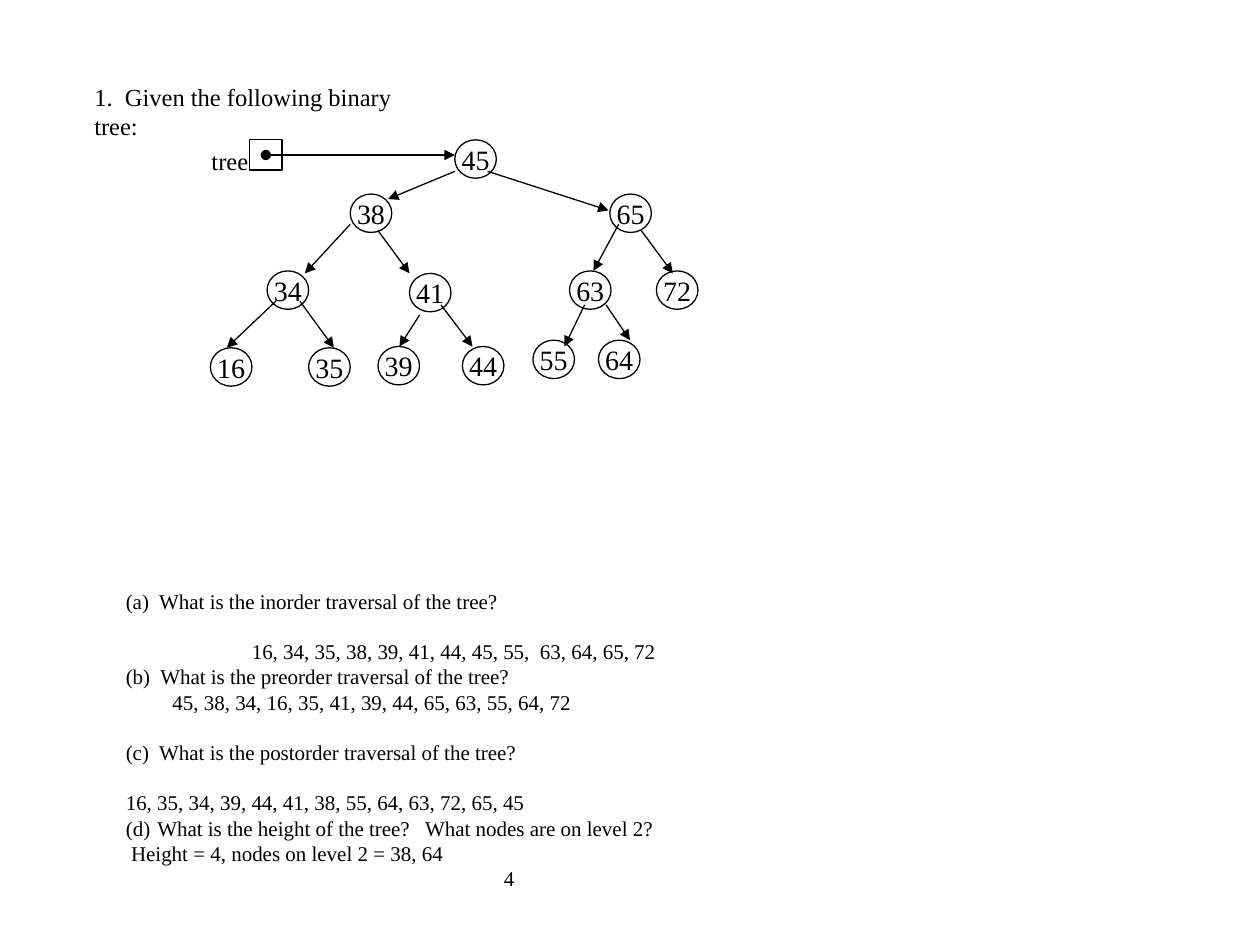
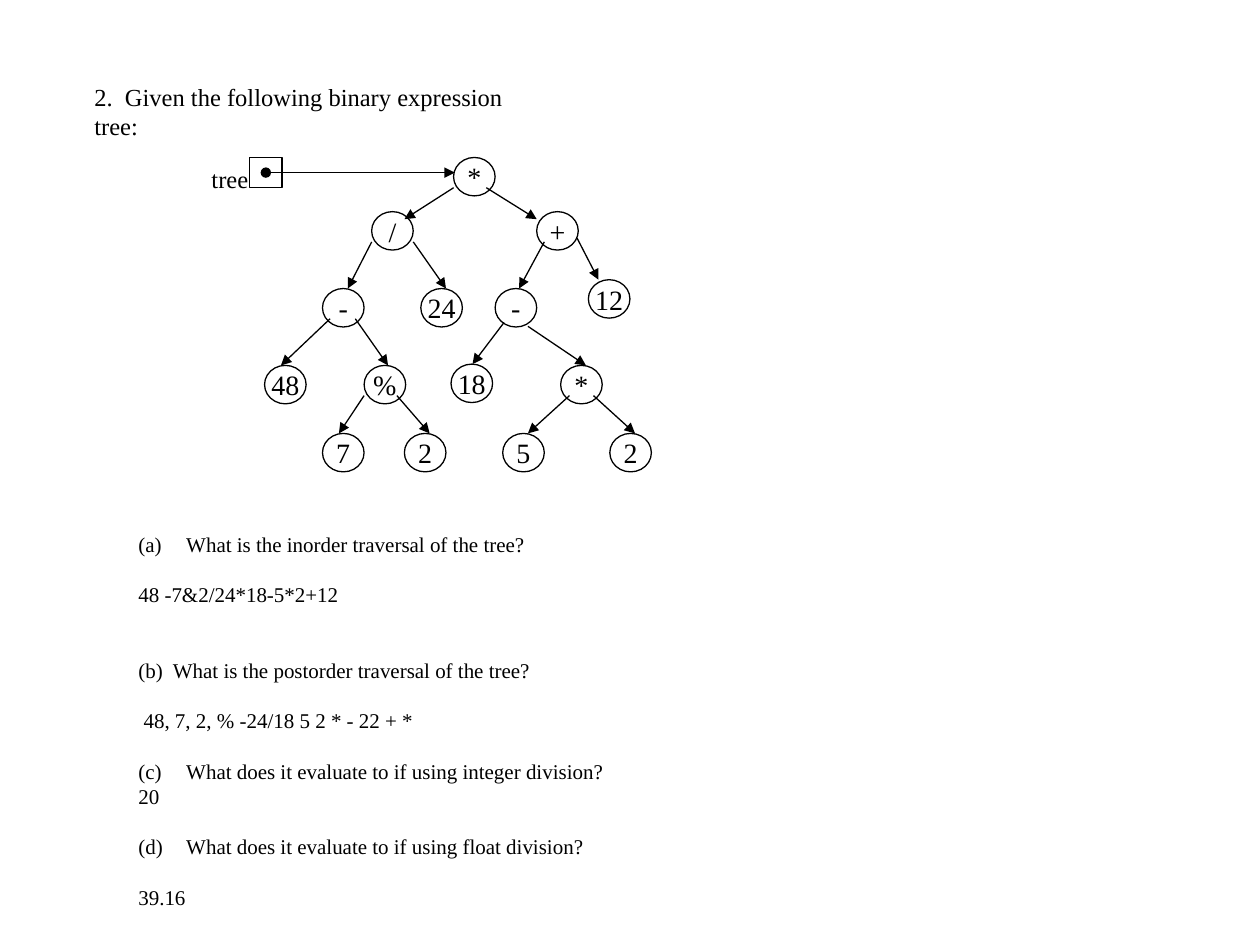
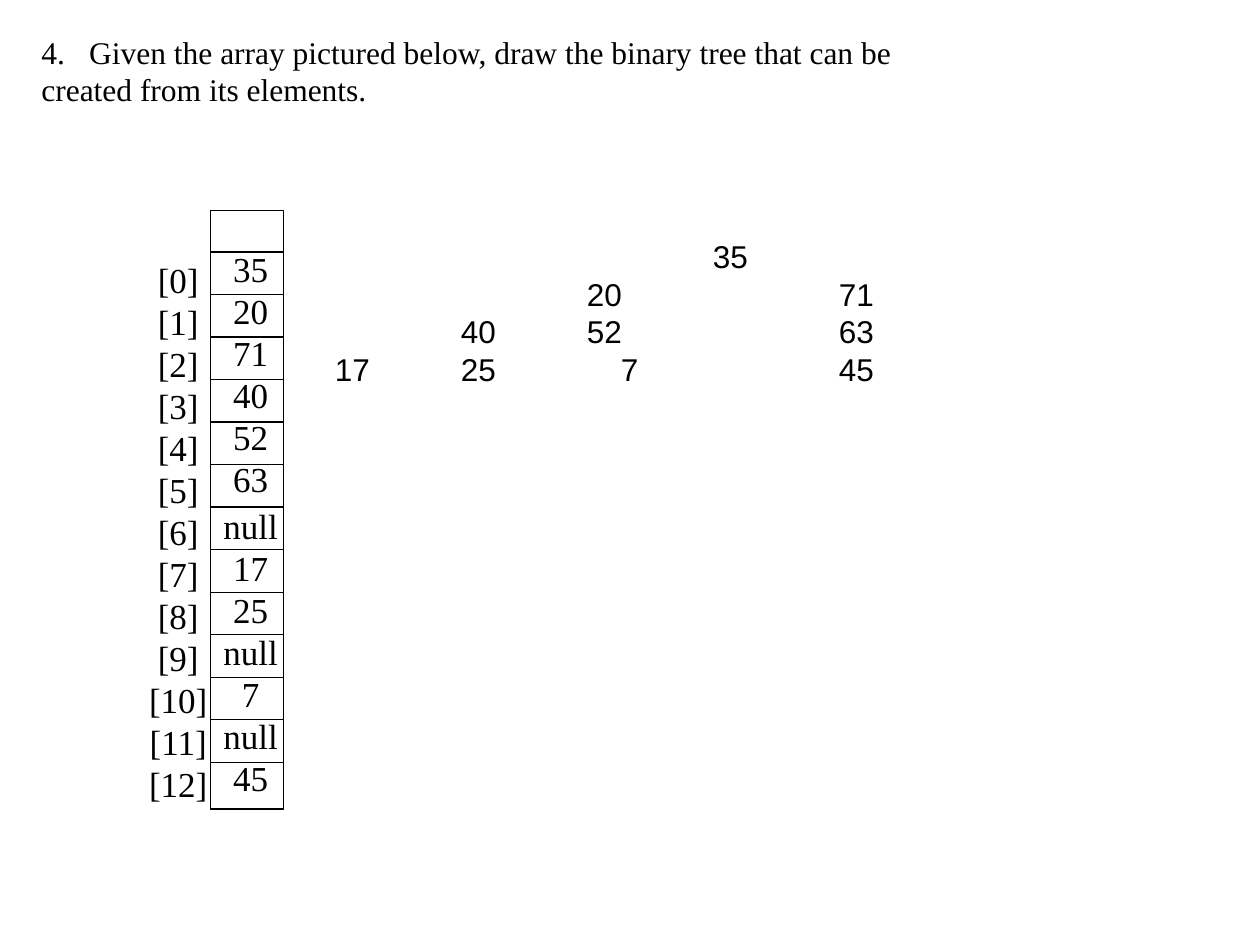
import dataclasses
import pptx
import pptx.util
import pptx.dml.color
import pptx.enum.shapes
import pptx.enum.text
import pptx.oxml.ns
import lxml.etree


@dataclasses.dataclass(frozen=True)
class Theme:
    """Colours, fonts, type sizes and the grid cell in inches."""
    ink: str = "000000"
    serif: str = "Times New Roman"
    sans: str = "Arial"
    body: int = 12
    lead: int = 14
    node: int = 16
    head: int = 18
    cell: int = 20
    rule: float = 0.75
    line: float = 1.2
    grid: float = 0.1


@dataclasses.dataclass(frozen=True)
class Para:
    """One paragraph: gap in lines, left indent, list number, tab stops."""
    text: str
    gap: float = 0
    left: float = 0
    num: int = 0
    kind: str = "alphaLcParenBoth"
    stops: tuple = ()


THEME = Theme()
ALIGN = pptx.enum.text.PP_ALIGN
SHAPE = pptx.enum.shapes.MSO_SHAPE


def span(*cells):
    """Turn grid cells into lengths."""
    return [pptx.util.Inches(c * THEME.grid) for c in cells]


def colour():
    """Give the ink colour."""
    return pptx.dml.color.RGBColor.from_string(THEME.ink)


def add(root, tag, **attrs):
    """Append a drawing element with attributes."""
    item = lxml.etree.SubElement(root, pptx.oxml.ns.qn(tag))
    for key, val in attrs.items():
        item.set(key, str(val))
    return item


def style(para, size, face):
    """Set the font of a paragraph."""
    para.font.size = pptx.util.Pt(size)
    para.font.name = face
    para.font.color.rgb = colour()


def write(slide, box, paras, size, face=THEME.serif, align=ALIGN.LEFT, wrap=True, inset=1):
    """Write paragraphs in a text box."""
    frame = slide.shapes.add_textbox(*span(*box)).text_frame
    frame.word_wrap = wrap
    frame.margin_left, frame.margin_right = span(inset, inset)
    for i, item in enumerate(paras):
        para = frame.add_paragraph() if i else frame.paragraphs[0]
        para.text = item.text
        para.alignment = align
        if item.gap:
            para.space_before = pptx.util.Pt(item.gap * size * THEME.line)
        props = para._p.get_or_add_pPr()
        if item.left:
            props.set("marL", str(pptx.util.Inches(item.left)))
        if item.num:
            props.set("indent", str(-pptx.util.Inches(item.left)))
            add(props, "a:buAutoNum", type=item.kind, startAt=item.num)
        if item.stops:
            tabs = add(props, "a:tabLst")
            for stop in item.stops:
                add(tabs, "a:tab", pos=pptx.util.Inches(stop), algn="l")
        style(para, size, face)


def draw(slide, kind, box, text=""):
    """Draw an outlined shape with centred text."""
    shape = slide.shapes.add_shape(kind, *span(*box))
    shape.shadow.inherit = False
    shape.fill.background()
    shape.line.color.rgb = colour()
    shape.line.width = pptx.util.Pt(THEME.rule)
    if text:
        frame = shape.text_frame
        frame.word_wrap = False
        frame.vertical_anchor = pptx.enum.text.MSO_ANCHOR.MIDDLE
        para = frame.paragraphs[0]
        para.text = text
        para.alignment = ALIGN.CENTER
        style(para, THEME.node, THEME.serif)


def link(slide, ends, head="", tail=""):
    """Draw a straight line with optional ends."""
    line = slide.shapes.add_connector(pptx.enum.shapes.MSO_CONNECTOR.STRAIGHT, *span(*ends))
    line.line.color.rgb = colour()
    line.line.width = pptx.util.Pt(THEME.rule)
    stroke = line.line._get_or_add_ln()
    if head:
        add(stroke, "a:headEnd", type=head)
    if tail:
        add(stroke, "a:tailEnd", type=tail)
    add(line._element.spPr, "a:effectLst")


def tree(slide, left, top, nodes):
    """Draw the pointer, then each node with the arrow that leads to it."""
    draw(slide, SHAPE.RECTANGLE, (left + 4.8, top, 2.6, 2.4))
    write(slide, (left + 0.8, top, 4.9, 3.3), [Para("tree")], THEME.lead, wrap=False)
    link(slide, (left + 6.1, top + 1.2, left + 21.1, top + 1.2), "oval", "triangle")
    for text, x, y, *ends in nodes:
        draw(slide, SHAPE.OVAL, (left + x, top + y, 3.3, 3.05), text)
        if ends:
            a, b, c, d = ends
            link(slide, (left + a, top + b, left + c, top + d), tail="triangle")


def quiz(slide, title, wide, top, nodes, box, paras):
    """Lay out a tree question: title, tree and answers."""
    write(slide, (6.5, 6, wide, 5.6), [Para(title)], THEME.lead)
    tree(slide, 15, top, nodes)
    write(slide, box, paras, THEME.body)


def array(slide, left, top, wide, high, items):
    """Draw the array cells with their indexes and values."""
    draw(slide, SHAPE.RECTANGLE, (left, top, wide, high))
    first, step = top + 3.3, 3.375
    for i in range(len(items)):
        y = first + i * step
        link(slide, (left, y, left + wide, y))
    marks = [Para(f"[{i}]") for i in range(len(items))]
    cells = [Para(t, 0.12 if i == items.index("null") else 0) for i, t in enumerate(items)]
    for x, y, w, paras in ((left - 5.9, first, 6.7, marks), (left, first - 0.85, 6.4, cells)):
        write(slide, (x, y, w, 44.8), paras, THEME.cell, align=ALIGN.CENTER, inset=0)


SEARCH = [
    ("45", 21.1, 0),
    ("38", 12.8, 4.3, 21.1, 2.5, 15.8, 4.7),
    ("65", 33.4, 4.3, 23.7, 2.5, 33.3, 5.6),
    ("34", 6.2, 10.4, 12.8, 6.7, 9.2, 10.6),
    ("41", 17.5, 10.6, 15, 7.2, 17.5, 10.6),
    ("63", 30.2, 10.4, 34.1, 6.7, 32.1, 10.4),
    ("72", 37.1, 10.4, 35.9, 7.2, 38.4, 10.6),
    ("16", 1.7, 16.5, 6.9, 12.8, 3, 16.5),
    ("35", 9.5, 16.5, 8.8, 12.8, 11.5, 16.5),
    ("39", 15, 16.4, 18.3, 13.9, 16.7, 16.4),
    ("44", 21.7, 16.4, 20, 13.1, 22.5, 16.4),
    ("55", 27.3, 15.9, 31.4, 13.1, 29.8, 16.4),
    ("64", 32.5, 15.9, 33.1, 13.1, 35, 15.9),
]
MATHS = [
    ("*", 21, 0),
    ("/", 14.5, 4.3, 21, 2.4, 17.1, 4.9),
    ("+", 27.6, 4.3, 23.6, 2.4, 27.6, 4.9),
    ("-", 10.6, 10.4, 14.5, 6.7, 12.6, 10.4),
    ("24", 18.4, 10.4, 17.8, 6.7, 20.4, 10.4),
    ("-", 24.3, 10.4, 28.2, 6.7, 26.2, 10.4),
    ("12", 31.7, 9.7, 30.8, 6.4, 32.5, 9.7),
    ("48", 6, 16.5, 11.2, 12.8, 7.3, 16.5),
    ("%", 13.9, 16.5, 13.2, 12.8, 15.8, 16.5),
    ("18", 20.8, 16.4, 25, 13.1, 22.5, 16.4),
    ("*", 29.5, 16.5, 26.9, 13.4, 31.5, 16.5),
    ("7", 10.6, 21.9, 13.9, 18.9, 11.9, 21.9),
    ("2", 17.1, 21.9, 16.5, 18.9, 19.1, 21.9),
    ("5", 24.9, 21.9, 30.2, 18.9, 26.9, 21.9),
    ("2", 33.4, 21.9, 32.1, 18.9, 35.4, 21.9),
]
ORDERS = [
    Para("(a)  What is the inorder traversal of the tree?"),
    Para("16, 34, 35, 38, 39, 41, 44, 45, 55,  63, 64, 65, 72", 1, 1),
    Para("(b)  What is the preorder traversal of the tree?"),
    Para("45, 38, 34, 16, 35, 41, 39, 44, 65, 63, 55, 64, 72", 0, 0.37),
    Para("(c)  What is the postorder traversal of the tree?", 1),
    Para("16, 35, 34, 39, 44, 41, 38, 55, 64, 63, 72, 65, 45", 1),
    Para("What is the height of the tree?   What nodes are on level 2?", 0, 0.25, 4),
    Para(" Height = 4, nodes on level 2 = 38, 64"),
    Para("4", 0, 3),
]
VALUES = [
    Para("What is the inorder traversal of the tree?", 0, 0.38, 1),
    Para("48 -7&2/24*18-5*2+12", 1),
    Para("(b)  What is the postorder traversal of the tree?", 2),
    Para(" 48, 7, 2, % -24/18 5 2 * - 22 + *", 1),
    Para("What does it evaluate to if using integer division?", 1, 0.38, 3),
    Para("20"),
    Para("What does it evaluate to if using float division?", 1, 0.38, 4),
    Para("39.16", 1),
]
TASK = [
    Para("Given the array pictured below, draw the binary tree that can be", 0, 0.38, 4,
         "arabicPeriod"),
    Para("created from its elements."),
]
LEVELS = [
    Para("\t35", stops=(3,)),
    Para("\t20\t71", stops=(2, 4)),
    Para("\t40\t52\t63", stops=(1, 2, 4)),
    Para("17\t25\t7\t45", stops=(1, 2.27, 4)),
]
ITEMS = "35 20 71 40 52 63 null 17 25 null 7 null 45".split()


def main():
    """Build and save the slides."""
    deck = pptx.Presentation()
    deck.slide_width, deck.slide_height = span(100, 75)
    one, two, three = (deck.slides.add_slide(deck.slide_layouts[6]) for _ in range(3))
    quiz(one, "1.  Given the following binary tree:", 29, 11.1, SEARCH,
         (9, 46.2, 44.5, 25.2), ORDERS)
    quiz(two, "2.  Given the following binary expression tree:", 37.5, 12.5, MATHS,
         (10, 41.7, 39.4, 33.3), VALUES)
    array(three, 16.7, 16.7, 5.8, 47.5, ITEMS)
    write(three, (2.3, 2.1, 70.2, 7.1), TASK, THEME.head)
    write(three, (25.6, 18.3, 63.6, 13.1), LEVELS, THEME.head, THEME.sans)
    deck.save("out.pptx")


main()
